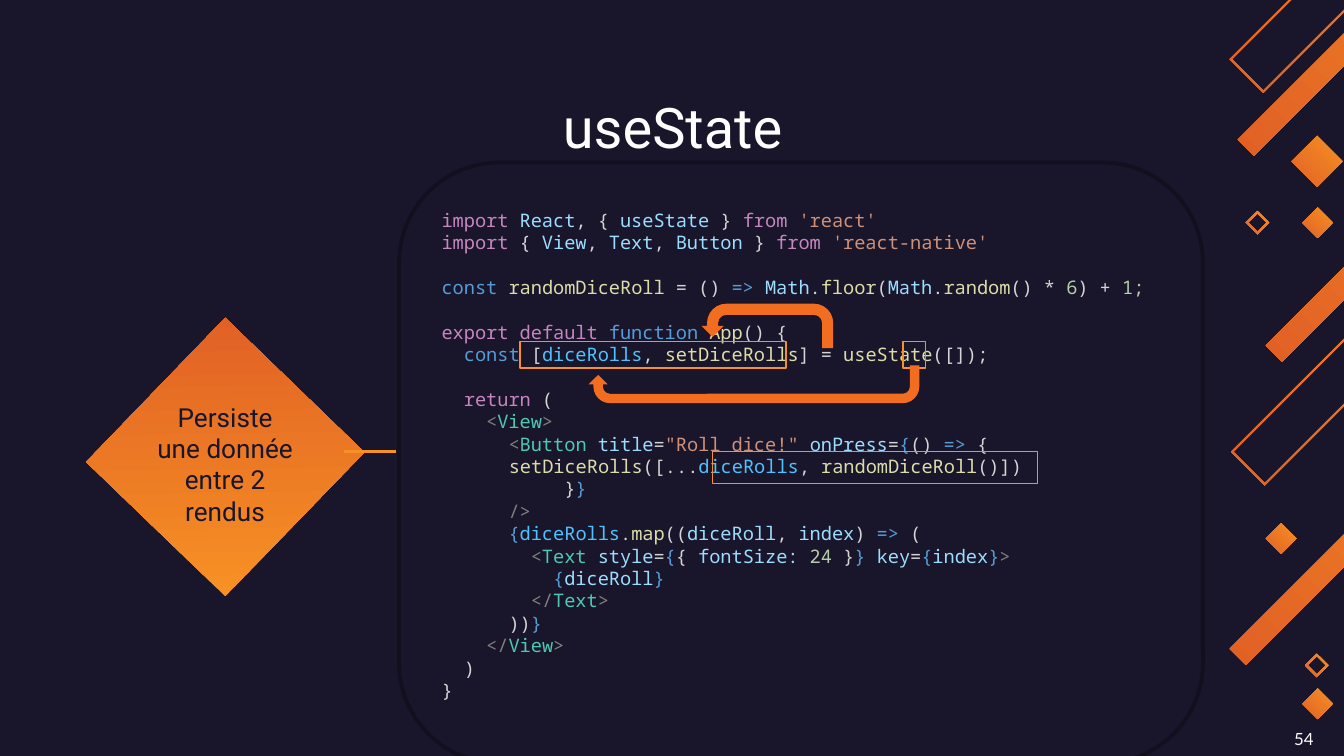
from lxml.etree import SubElement
from pptx import Presentation
from pptx.dml.color import RGBColor
from pptx.enum.shapes import MSO_CONNECTOR, MSO_SHAPE
from pptx.enum.text import MSO_ANCHOR, PP_ALIGN
from pptx.oxml.ns import qn
from pptx.util import Pt

HUES = {
    "night": "19152A", "edge": "12101F", "white": "FFFFFF",
    "amber": "F79124", "rust": "E16125", "arrow": "F36D21",
    # Code colours
    "key": "C586C0", "var": "9CDCFE", "txt": "D4D4D4", "str": "CE9178",
    "def": "569CD6", "fn": "DCDCAA", "num": "B5CEA8", "con": "4FC1FF",
    "tag": "4EC9B0", "dim": "808080",
}

# Blocks of lines, each line made of "colour:text" parts
CODE = [
    [
        "key:import |var:React|txt:, { |var:useState|txt: } |key:from |str:'react'",
        "key:import|txt: { |var:View|txt:, |var:Text|txt:, |var:Button|txt: } "
        "|key:from |str:'react-native'",
    ],
    [
        "def:const |fn:randomDiceRoll|txt: = () |def:=> |var:Math|txt:.|fn:floor"
        "|txt:(|var:Math|txt:.|fn:random|txt:() * |num:6|txt:) + |num:1;",
    ],
    [
        "key:export default |def:function |fn:App|txt:() {",
        "def:  const|txt: [|con:diceRolls|txt:, |fn:setDiceRolls|txt:] = "
        "|fn:useState|txt:([]);",
    ],
    [
        "key:  return|txt: (",
        "dim:    <|tag:View|dim:>",
        "dim:      <|tag:Button |var:title|txt:=|str:\"Roll dice!\" |var:onPress"
        "|txt:=|def:{|txt:() |def:=>|txt: {",
        "fn:\tsetDiceRolls|txt:([...|con:diceRolls|txt:, |fn:randomDiceRoll|txt:()])",
        "txt:           }|def:}",
        "dim:      />",
        "def:      {|con:diceRolls|txt:.|fn:map|txt:((|var:diceRoll|txt:, |var:index"
        "|txt:) |def:=>|txt: (",
        "dim:        <|tag:Text |var:style|txt:=|def:{|txt:{ |var:fontSize: |num:24"
        "|txt: }|def:} |var:key|txt:=|def:{|var:index|def:}|dim:>",
        "def:          {|var:diceRoll|def:}",
        "dim:        </|tag:Text|dim:>",
        "txt:      ))|def:}",
        "dim:    </|tag:View|dim:>",
        "txt:  )",
        "txt:}",
    ],
]

# Left tip x and y, length, width, outline (0 when solid)
STRIPS = [
    (658.8, 31.7, 140.4, 18, 1.2),
    (659.5, 242.1, 140.4, 18, 1.2),
    (663.1, 74.9, 169, 8.6, 0),
    (658.8, 347.6, 169, 8.6, 0),
    (678.2, 185.1, 169, 8.6, 0),
    (691.9, 86.4, 13.7, 13.7, 0),
    (699.1, 356.4, 6.3, 6.3, 1.4),
    (667.4, 119.3, 6.3, 6.3, 1.4),
    (697.7, 377, 8.2, 8.2, 0),
    (697.7, 119.3, 8.2, 8.2, 0),
    (678.2, 288.5, 8.2, 8.2, 0),
]


def hue(name):
    return RGBColor.from_string(HUES[name])


def glow(shape, angle):
    """Fill a shape with the amber to rust gradient."""
    shape.shadow.inherit = False
    shape.line.fill.background()
    shape.fill.gradient()
    shape.fill.gradient_angle = angle
    for stop, name in zip(shape.fill.gradient_stops, ("amber", "rust")):
        stop.color.rgb = hue(name)


def add_strip(slide, x, y, long, wide, rim):
    """Draw a bar rising at 45 degrees, hollow when it has a rim."""
    def ring(gap):
        spots = [(x + gap, y), (x + long, y - long + gap),
                 (x + long + wide - gap, y - long + wide),
                 (x + wide, y + wide - gap)]
        return [(Pt(a), Pt(b)) for a, b in spots]

    outer = ring(0)
    pen = slide.shapes.build_freeform(*outer[0])
    pen.add_line_segments(outer[1:], close=True)
    if rim:
        inner = ring(rim)[::-1]
        pen.move_to(*inner[0])
        pen.add_line_segments(inner[1:], close=True)
    glow(pen.convert_to_shape(), 225)


def add_shape(slide, kind, box, fill=None, line=None, width=0.75):
    shape = slide.shapes.add_shape(kind, *map(Pt, box))
    shape.shadow.inherit = False
    if fill:
        shape.fill.solid()
        shape.fill.fore_color.rgb = hue(fill)
    else:
        shape.fill.background()
    if line:
        shape.line.color.rgb = hue(line)
        shape.line.width = Pt(width)
    else:
        shape.line.fill.background()
    return shape


def add_text(slide, box, text, size, font, color, align, anchor, pad):
    """Add a one-paragraph text box, with pad above and below."""
    frame = slide.shapes.add_textbox(*map(Pt, box)).text_frame
    frame.word_wrap = True
    frame.vertical_anchor = anchor
    frame.margin_top = frame.margin_bottom = Pt(pad)
    frame.text = text
    para = frame.paragraphs[0]
    para.alignment = align
    face = para.runs[0].font
    face.size, face.name = Pt(size), font
    face.color.rgb = hue(color)


def add_arrow(slide, box, flips):
    arrow = add_shape(slide, MSO_SHAPE.U_TURN_ARROW, box, "arrow")
    for flip in flips:
        arrow.element.spPr.find(qn("a:xfrm")).set(flip, "1")


def add_link(slide, *ends):
    link = slide.shapes.add_connector(MSO_CONNECTOR.STRAIGHT, *map(Pt, ends))
    link.line.color.rgb = hue("amber")
    link.line.width = Pt(1.5)
    SubElement(link.element.spPr, qn("a:effectLst"))


def add_code(slide, box):
    panel = add_shape(slide, MSO_SHAPE.ROUNDED_RECTANGLE, box, "night", "edge", 2)
    frame = panel.text_frame
    frame.word_wrap = True
    frame.vertical_anchor = MSO_ANCHOR.MIDDLE
    frame.margin_bottom = Pt(12)
    para = frame.paragraphs[0]
    for b, block in enumerate(CODE):
        for i, line in enumerate(block):
            if b or i:
                para = frame.add_paragraph()
            para.alignment = PP_ALIGN.LEFT
            para.line_spacing = Pt(12)
            if b and not i:
                para.space_before = Pt(12)
            for part in line.split("|"):
                name, _, text = part.partition(":")
                run = para.add_run()
                run.text = text
                run.font.size, run.font.name = Pt(10), "Noto Sans Mono"
                run.font.color.rgb = hue(name)


def main():
    deck = Presentation()
    deck.slide_width, deck.slide_height = Pt(720), Pt(405)
    slide = deck.slides.add_slide(deck.slide_layouts[6])
    slide.background.fill.solid()
    slide.background.fill.fore_color.rgb = hue("night")

    add_text(slide, (686.2, 386.6, 38, 18), "54", 9, "Lato", "white",
             PP_ALIGN.LEFT, MSO_ANCHOR.TOP, 3.6)
    for strip in STRIPS:
        add_strip(slide, *strip)
    add_text(slide, (47.5, 42.5, 625.7, 45.4), "useState", 30, "Roboto", "white",
             PP_ALIGN.CENTER, MSO_ANCHOR.TOP, 7.2)

    gem = add_shape(slide, MSO_SHAPE.RECTANGLE, (67, 193, 107.3, 103.7))
    gem.rotation = 134
    glow(gem, 225)
    add_text(slide, (75.6, 209.5, 90, 77.8), "Persiste une donnée entre 2 rendus",
             14, "Roboto", "night", PP_ALIGN.CENTER, MSO_ANCHOR.MIDDLE, 7.2)
    add_link(slide, 212.4, 241.9, 184.3, 241.9)

    add_code(slide, (213.8, 87.1, 430.6, 321.8))
    for box in [(278.6, 182.9, 142.6, 14.4), (483.8, 182.9, 12.2, 14.4),
                (381.6, 241.9, 174.2, 17.3)]:
        add_shape(slide, MSO_SHAPE.RECTANGLE, box, line="amber")
    add_arrow(slide, (375.8, 162.7, 70.6, 23.8), ["flipH"])
    add_arrow(slide, (315.4, 195.8, 177.1, 20.2), ["flipH", "flipV"])
    deck.save("out.pptx")


if __name__ == "__main__":
    main()
